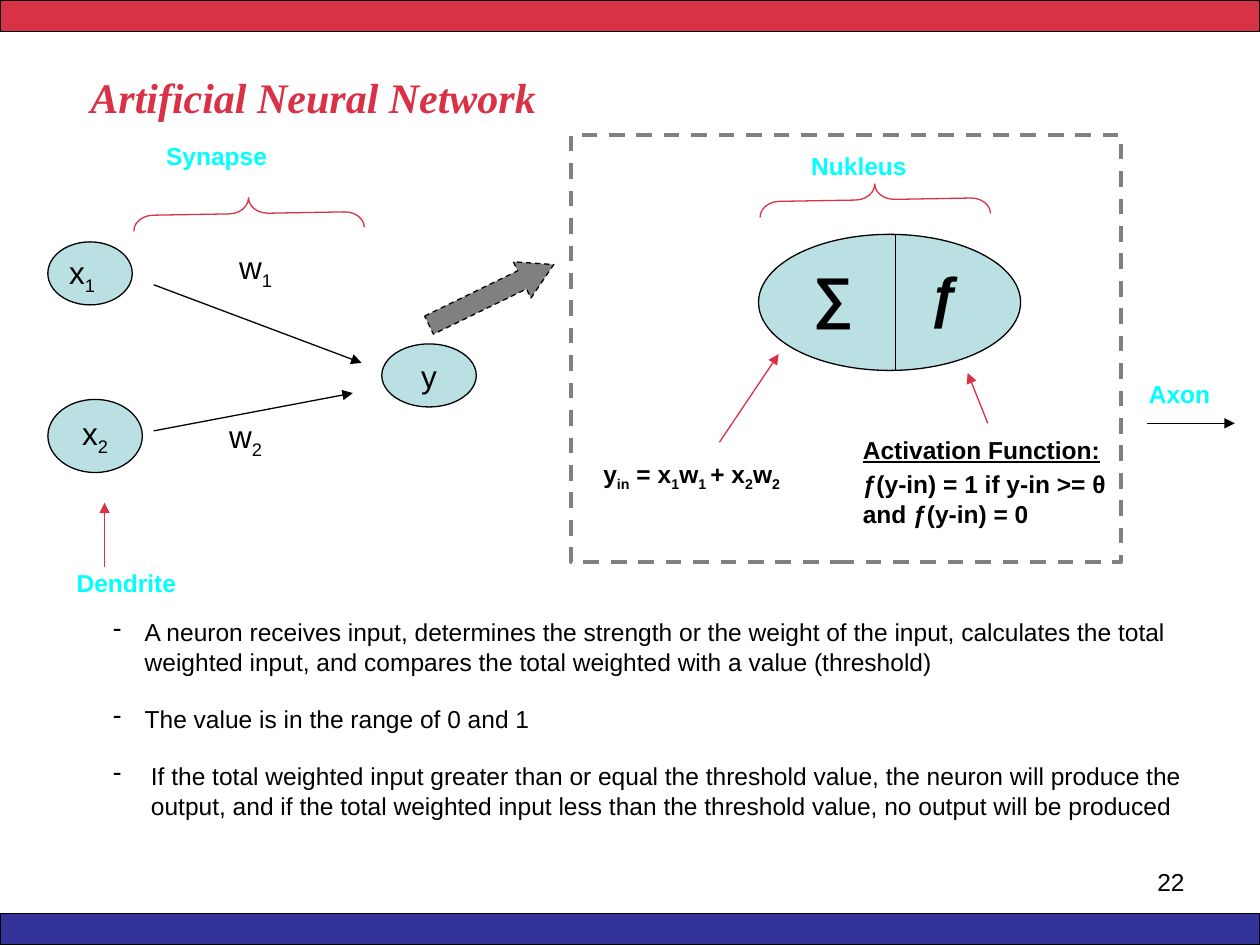
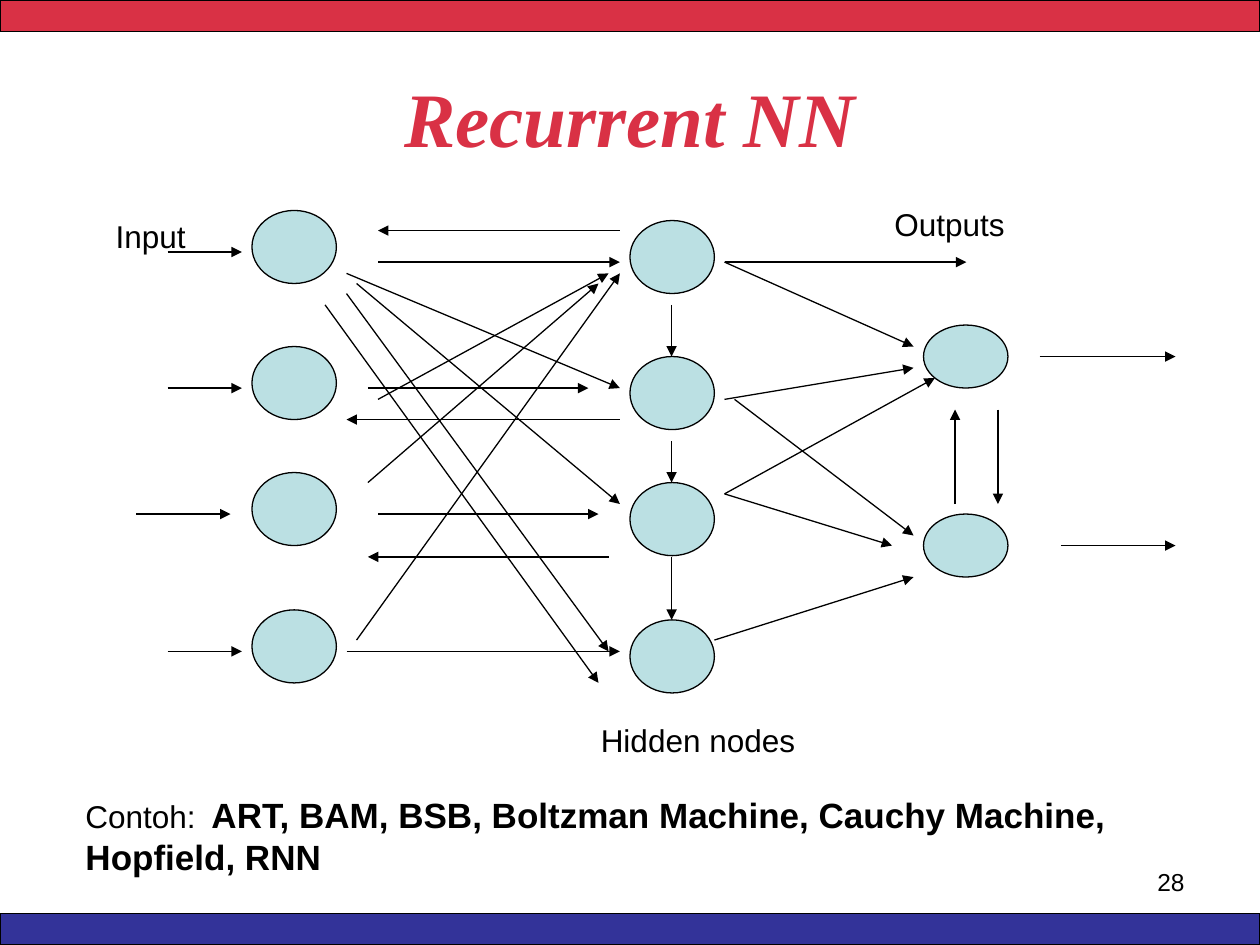
"""Build two slides on artificial and recurrent neural networks."""
from lxml.etree import SubElement
from pptx import Presentation
from pptx.dml.color import RGBColor
from pptx.enum.dml import MSO_LINE
from pptx.enum.shapes import MSO_CONNECTOR, MSO_SHAPE
from pptx.enum.text import MSO_ANCHOR, PP_ALIGN
from pptx.oxml.ns import qn
from pptx.util import Inches, Pt

COLORS = {
    "red": "D93145",
    "blue": "333399",
    "node": "BBE0E3",
    "cyan": "00FFFF",
    "gray": "808080",
    "black": "000000",
}
BODY_FONT = "Arial"
TITLE_FONT = "Times New Roman"


def draw(slide, kind, box, fill=None, line="black", weight=0.75):
    shape = slide.shapes.add_shape(kind, *map(Inches, box))
    shape.shadow.inherit = False
    if fill:
        shape.fill.solid()
        shape.fill.fore_color.rgb = RGBColor.from_string(COLORS[fill])
    else:
        shape.fill.background()
    shape.line.color.rgb = RGBColor.from_string(COLORS[line])
    shape.line.width = Pt(weight)
    return shape


def write(shape, text, size=18, color="black", bold=False, italic=False,
          font=BODY_FONT, align=PP_ALIGN.LEFT, wrap=True):
    """Write one paragraph; every second part between bars is a subscript."""
    frame = shape.text_frame
    frame.word_wrap = wrap
    paragraph = frame.paragraphs[0] if not frame.text else frame.add_paragraph()
    paragraph.alignment = align
    paragraph.font.name = font
    paragraph.font.size = Pt(size)
    paragraph.font.bold = bold
    paragraph.font.italic = italic
    paragraph.font.color.rgb = RGBColor.from_string(COLORS[color])
    for index, part in enumerate(text.split("|")):
        if part:
            run = paragraph.add_run()
            run.text = part
            if index % 2:
                run._r.get_or_add_rPr().set("baseline", "-25000")
    return paragraph


presentation = Presentation()
presentation.slide_width = Inches(10)
presentation.slide_height = Inches(7.5)

slides = []
for number, title, title_box, title_size, title_align in [
    ("22", "Artificial Neural Network", (0.62, 0.52, 4.5, 0.5), 24, PP_ALIGN.LEFT),
    ("28", "Recurrent NN", (0.5, 0.3, 9, 1.25), 44, PP_ALIGN.CENTER),
]:
    slide = presentation.slides.add_slide(presentation.slide_layouts[6])
    slides.append(slide)
    draw(slide, MSO_SHAPE.RECTANGLE, (0, 0, 10, 0.25), "red")
    draw(slide, MSO_SHAPE.RECTANGLE, (0, 7.25, 10, 0.25), "blue")
    page_number = slide.shapes.add_textbox(*map(Inches, (7.17, 6.83, 2.33, 0.4)))
    write(page_number, number, 14, align=PP_ALIGN.RIGHT)
    title_shape = slide.shapes.add_textbox(*map(Inches, title_box))
    write(title_shape, title, title_size, "red", True, True, TITLE_FONT, title_align)
    title_shape.text_frame.vertical_anchor = MSO_ANCHOR.MIDDLE
neuron_slide, recurrent_slide = slides

nucleus_frame = draw(neuron_slide, MSO_SHAPE.RECTANGLE, (4.53, 1.07, 4.37, 3.39),
                     line="gray", weight=2.25)
nucleus_frame.line.dash_style = MSO_LINE.DASH
zoom_arrow = draw(neuron_slide, MSO_SHAPE.RIGHT_ARROW, (3.35, 2.18, 1.1, 0.32), "gray")
zoom_arrow.rotation = 334.1
zoom_arrow.adjustments[1] = 0.87
zoom_arrow.line.dash_style = MSO_LINE.DASH

for left, top in [(1.85, 0.78), (6.82, 0.67)]:
    brace = draw(neuron_slide, MSO_SHAPE.RIGHT_BRACE, (left, top, 0.25, 1.83), line="red")
    brace.rotation = 269
    brace.adjustments[0] = 0.62

for box, text in [
    ((0.38, 1.92, 0.67, 0.5), ""),
    ((0.38, 3.17, 0.75, 0.58), "x|2"),
    ((3.03, 2.73, 0.75, 0.5), "y"),
    ((6.02, 1.86, 2.08, 1.08), ""),
]:
    neuron = draw(neuron_slide, MSO_SHAPE.OVAL, box, "node")
    if text:
        write(neuron, text, align=PP_ALIGN.CENTER, wrap=False)
        neuron.text_frame.vertical_anchor = MSO_ANCHOR.MIDDLE

for slide, left, top, width, text, size, color, bold, italic in [
    (neuron_slide, 0.45, 1.96, 0.6, "x|1", 18, "black", False, False),
    (neuron_slide, 1.8, 1.92, 1, "w|1", 18, "black", False, False),
    (neuron_slide, 1.72, 3.26, 0.67, "w|2", 18, "black", False, False),
    (neuron_slide, 1.22, 1.07, 1.5, "Synapse", 14, "cyan", True, False),
    (neuron_slide, 6.34, 1.15, 1.5, "Nukleus", 14, "cyan", True, False),
    (neuron_slide, 0.51, 4.46, 1.5, "Dendrite", 14, "cyan", True, False),
    (neuron_slide, 9.02, 2.96, 0.9, "Axon", 14, "cyan", True, False),
    (neuron_slide, 6.36, 2.03, 0.6, "∑", 32, "black", True, False),
    (neuron_slide, 7.27, 2.03, 0.6, "ƒ", 32, "black", True, True),
    (neuron_slide, 4.69, 3.59, 1.9, "y|in| = x|1|w|1 |+ x|2|w|2", 14, "black", True, False),
    (recurrent_slide, 0.82, 1.67, 1.5, "Input", 18, "black", False, False),
    (recurrent_slide, 4.67, 5.67, 1.9, "Hidden nodes", 18, "black", False, False),
    (recurrent_slide, 7, 1.58, 1.75, "Outputs", 18, "black", False, False),
]:
    label = slide.shapes.add_textbox(*map(Inches, (left, top, width, 0.4)))
    write(label, text, size, color, bold, italic)

activation = neuron_slide.shapes.add_textbox(*map(Inches, (6.75, 3.4, 2.3, 1)))
write(activation, "Activation Function:", 14, bold=True).font.underline = True
rule = write(activation, "ƒ(y-in) = 1 if y-in >= θ and ƒ(y-in) = 0", 14, bold=True)
rule.space_before = Pt(3)

explanation = neuron_slide.shapes.add_textbox(*map(Inches, (0.8, 4.85, 8.9, 1.8)))
for index, (indent, text) in enumerate([
    (0.25, "A neuron receives input, determines the strength or the weight of the input, "
           "calculates the total weighted input, and compares the total weighted with "
           "a value (threshold)"),
    (0.25, "The value is in the range of 0 and 1"),
    (0.3, "If the total weighted input greater than or equal the threshold value, "
          "the neuron will produce the output, and if the total weighted input less than "
          "the threshold value, no output will be produced"),
]):
    paragraph = write(explanation, text, 14)
    if index:
        paragraph.space_before = Pt(16)
    properties = paragraph._p.get_or_add_pPr()
    properties.set("marL", str(Inches(indent)))
    properties.set("indent", str(-Inches(indent)))
    bullet = SubElement(properties, qn("a:buChar"), char="-")
    properties.find(qn("a:defRPr")).addprevious(bullet)

for hidden_top in (1.75, 2.83, 3.83, 4.92):
    draw(recurrent_slide, MSO_SHAPE.OVAL, (2, hidden_top - 0.08, 0.67, 0.58), "node")
    draw(recurrent_slide, MSO_SHAPE.OVAL, (5, hidden_top, 0.67, 0.58), "node")
for output_top in (2.58, 4.08):
    draw(recurrent_slide, MSO_SHAPE.OVAL, (7.33, output_top, 0.67, 0.5), "node")

examples = recurrent_slide.shapes.add_textbox(*map(Inches, (0.58, 6.25, 8.42, 0.77)))
paragraph = write(examples, "Contoh:\t")
names = paragraph.add_run()
names.text = "ART, BAM, BSB, Boltzman Machine, Cauchy Machine, Hopfield, RNN"
names.font.size = Pt(20)
names.font.bold = True

neuron_arrows = [
    (1.22, 3.42, 2.8, 3.12), (1.22, 2.26, 2.87, 2.88), (9.1, 3.36, 9.8, 3.36),
]
pointer_arrows = [
    (0.83, 4.5, 0.83, 3.99), (7.84, 3.36, 7.68, 2.96), (5.71, 3.51, 6.18, 2.81),
]
nucleus_divider = [(7.11, 1.86, 7.11, 2.94)]
recurrent_arrows = [
    (1.33, 2, 1.92, 2), (1.33, 3.08, 1.92, 3.08),
    (1.08, 4.08, 1.83, 4.08), (1.33, 5.17, 1.92, 5.17),
    (3, 2.08, 4.92, 2.08), (2.92, 3.08, 4.67, 3.08),
    (3, 4.08, 4.75, 4.08), (2.75, 5.17, 4.92, 5.17),
    (4.92, 1.83, 3, 1.83), (4.92, 3.33, 2.75, 3.33), (4.83, 4.42, 2.92, 4.42),
    (3, 3.17, 4.83, 2.17), (2.92, 3.83, 4.75, 2.25), (2.83, 5.08, 4.92, 2.17),
    (2.75, 2.17, 4.92, 3.08), (2.83, 2.25, 4.92, 4),
    (2.75, 2.33, 4.83, 5.17), (2.58, 2.42, 4.75, 5.42),
    (5.33, 2.42, 5.33, 2.83), (5.33, 3.5, 5.33, 3.83), (5.33, 4.42, 5.33, 4.92),
    (5.75, 2.08, 7.67, 2.08), (5.75, 2.08, 7.25, 2.75),
    (5.75, 3.17, 7.25, 2.92), (5.83, 3.17, 7.25, 4.25),
    (5.75, 3.92, 7.42, 3), (5.75, 3.92, 7.08, 4.33), (5.67, 5.08, 7.25, 4.58),
    (7.92, 3.25, 7.92, 4), (7.58, 4, 7.58, 3.25),
    (8.25, 2.83, 9.33, 2.83), (8.42, 4.33, 9.33, 4.33),
]
for slide, color, has_head, lines in [
    (neuron_slide, "black", True, neuron_arrows),
    (neuron_slide, "red", True, pointer_arrows),
    (neuron_slide, "black", False, nucleus_divider),
    (recurrent_slide, "black", True, recurrent_arrows),
]:
    for ends in lines:
        connector = slide.shapes.add_connector(MSO_CONNECTOR.STRAIGHT, *map(Inches, ends))
        connector.line.color.rgb = RGBColor.from_string(COLORS[color])
        connector.line.width = Pt(0.75)
        if has_head:
            SubElement(connector.line._get_or_add_ln(), qn("a:tailEnd"), type="triangle")
        SubElement(connector._element.spPr, qn("a:effectLst"))

presentation.save("out.pptx")
